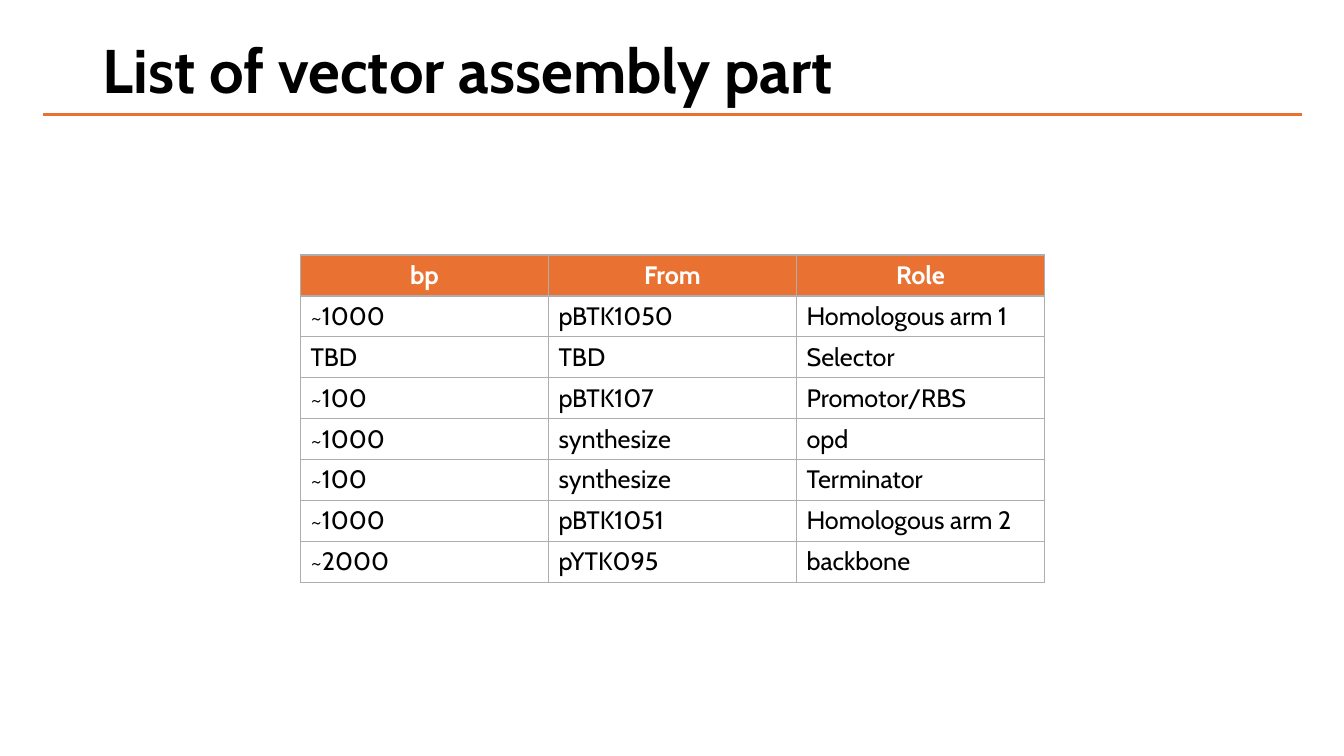
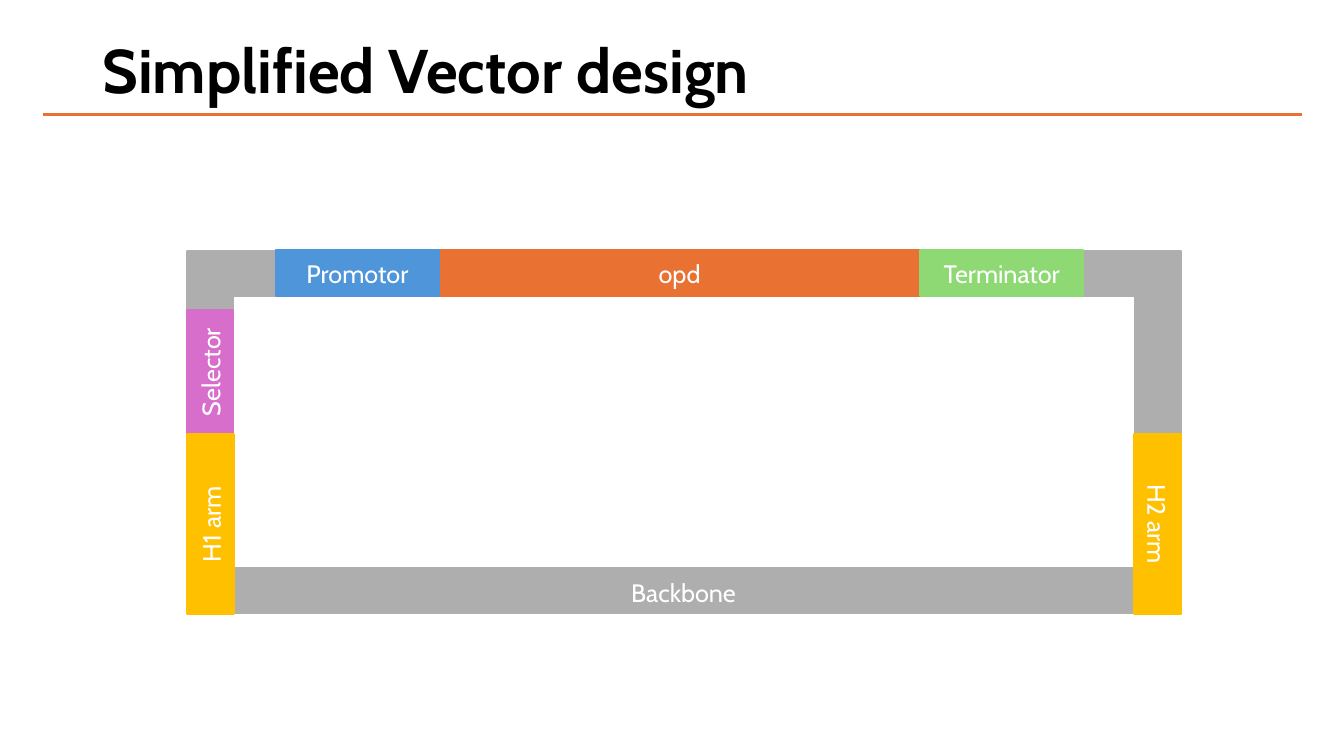
from dataclasses import dataclass

from lxml.etree import SubElement
from pptx import Presentation
from pptx.dml.color import RGBColor
from pptx.enum.shapes import MSO_CONNECTOR, MSO_SHAPE
from pptx.enum.text import MSO_ANCHOR, PP_ALIGN
from pptx.oxml.ns import qn
from pptx.shapes.autoshape import Shape
from pptx.slide import Slide
from pptx.table import _Cell
from pptx.text.text import _Paragraph
from pptx.util import Inches, Pt

FONT = "Cabin"
BLACK = RGBColor(0x00, 0x00, 0x00)
WHITE = RGBColor(0xFF, 0xFF, 0xFF)
GREY = RGBColor(0xAE, 0xAE, 0xAE)
ORANGE = RGBColor(0xE9, 0x71, 0x32)
BLUE = RGBColor(0x4E, 0x95, 0xD9)
GREEN = RGBColor(0x8E, 0xD9, 0x73)
PINK = RGBColor(0xD8, 0x6E, 0xCC)
YELLOW = RGBColor(0xFF, 0xC0, 0x00)

STRIP = 0.46  # thickness of every vector segment, inches

PARTS = [
    ("bp", "From", "Role"),
    ("~1000", "pBTK1050", "Homologous arm 1"),
    ("TBD", "TBD", "Selector"),
    ("~100", "pBTK107", "Promotor/RBS"),
    ("~1000", "synthesize", "opd"),
    ("~100", "synthesize", "Terminator"),
    ("~1000", "pBTK1051", "Homologous arm 2"),
    ("~2000", "pYTK095", "backbone"),
]


@dataclass
class Segment:
    """A labelled strip; left and top are taken before rotation."""
    label: str
    left: float
    top: float
    length: float
    color: RGBColor
    rotation: int = 0


SEGMENTS = [
    Segment("opd", 4.35, 2.48, 4.78, ORANGE),
    Segment("Promotor", 2.74, 2.48, 1.61, BLUE),
    Segment("Terminator", 9.13, 2.48, 1.61, GREEN),
    Segment("Selector", 1.47, 3.46, 1.23, PINK, 270),
    Segment("H1 arm", 1.2, 4.97, 1.78, YELLOW, 270),
    Segment("H2 arm", 10.59, 4.97, 1.78, YELLOW, 90),
]


def write(p: _Paragraph, text: str, color: RGBColor, size: int = 18,
          bold: bool = False, align: PP_ALIGN = PP_ALIGN.LEFT) -> None:
    p.text = text
    p.alignment = align
    p.font.name = FONT
    p.font.size = Pt(size)
    p.font.bold = bold
    p.font.color.rgb = color


def add_titled_slide(prs: Presentation, title: str) -> Slide:
    s = prs.slides.add_slide(prs.slide_layouts[6])
    tf = s.shapes.add_textbox(Inches(0.92), 0, Inches(11.5), Inches(1.45)).text_frame
    tf.word_wrap = True
    tf.vertical_anchor = MSO_ANCHOR.MIDDLE
    write(tf.paragraphs[0], title, BLACK, size=44, bold=True)
    tf.paragraphs[0].line_spacing = 0.9

    rule = s.shapes.add_connector(MSO_CONNECTOR.STRAIGHT, Inches(0.43), Inches(1.14),
                                  Inches(12.91), Inches(1.14))
    rule.line.color.rgb = ORANGE
    rule.line.width = Pt(2.25)
    SubElement(rule._element.spPr, qn("a:effectLst"))
    return s


def set_borders(cell: _Cell, color: RGBColor) -> None:
    """Draw 1 pt borders; call before the fill is set, as XML order matters."""
    tcPr = cell._tc.get_or_add_tcPr()
    for side in ("a:lnL", "a:lnR", "a:lnT", "a:lnB"):
        ln = SubElement(tcPr, qn(side), w=str(Pt(1)))
        SubElement(SubElement(ln, qn("a:solidFill")), qn("a:srgbClr"), val=str(color))


def add_parts_table(s: Slide) -> None:
    table = s.shapes.add_table(len(PARTS), len(PARTS[0]), Inches(2.98), Inches(2.53),
                               Inches(7.38), Inches(3.25)).table
    for r, row in enumerate(PARTS):
        header = r == 0
        for c, text in enumerate(row):
            cell = table.cell(r, c)
            set_borders(cell, GREY)
            cell.fill.solid()
            cell.fill.fore_color.rgb = ORANGE if header else WHITE
            write(cell.text_frame.paragraphs[0], text, WHITE if header else BLACK,
                  bold=header, align=PP_ALIGN.CENTER if header else PP_ALIGN.LEFT)


def add_solid(s: Slide, kind: MSO_SHAPE, left: float, top: float,
              width: float, height: float, color: RGBColor) -> Shape:
    sp = s.shapes.add_shape(kind, Inches(left), Inches(top), Inches(width), Inches(height))
    sp.shadow.inherit = False
    sp.fill.solid()
    sp.fill.fore_color.rgb = color
    sp.line.color.rgb = color
    sp.line.width = Pt(1.5)
    return sp


def add_segment(s: Slide, seg: Segment) -> None:
    sp = add_solid(s, MSO_SHAPE.RECTANGLE, seg.left, seg.top, seg.length, STRIP, seg.color)
    sp.rotation = seg.rotation
    sp.text_frame.vertical_anchor = MSO_ANCHOR.MIDDLE
    write(sp.text_frame.paragraphs[0], seg.label, WHITE, align=PP_ALIGN.CENTER)


def add_vector(s: Slide) -> None:
    add_solid(s, MSO_SHAPE.FRAME, 1.86, 2.49, 9.85, 3.59, GREY)
    for seg in SEGMENTS:
        add_segment(s, seg)
    tf = s.shapes.add_textbox(Inches(5), Inches(5.68), Inches(3.56), Inches(0.4)).text_frame
    tf.word_wrap = True
    write(tf.paragraphs[0], "Backbone", WHITE, align=PP_ALIGN.CENTER)


def main() -> None:
    prs = Presentation()
    prs.slide_width = Inches(13.33)
    prs.slide_height = Inches(7.5)
    add_parts_table(add_titled_slide(prs, "List of vector assembly part"))
    add_vector(add_titled_slide(prs, "Simplified Vector design"))
    prs.save("out.pptx")


if __name__ == "__main__":
    main()
